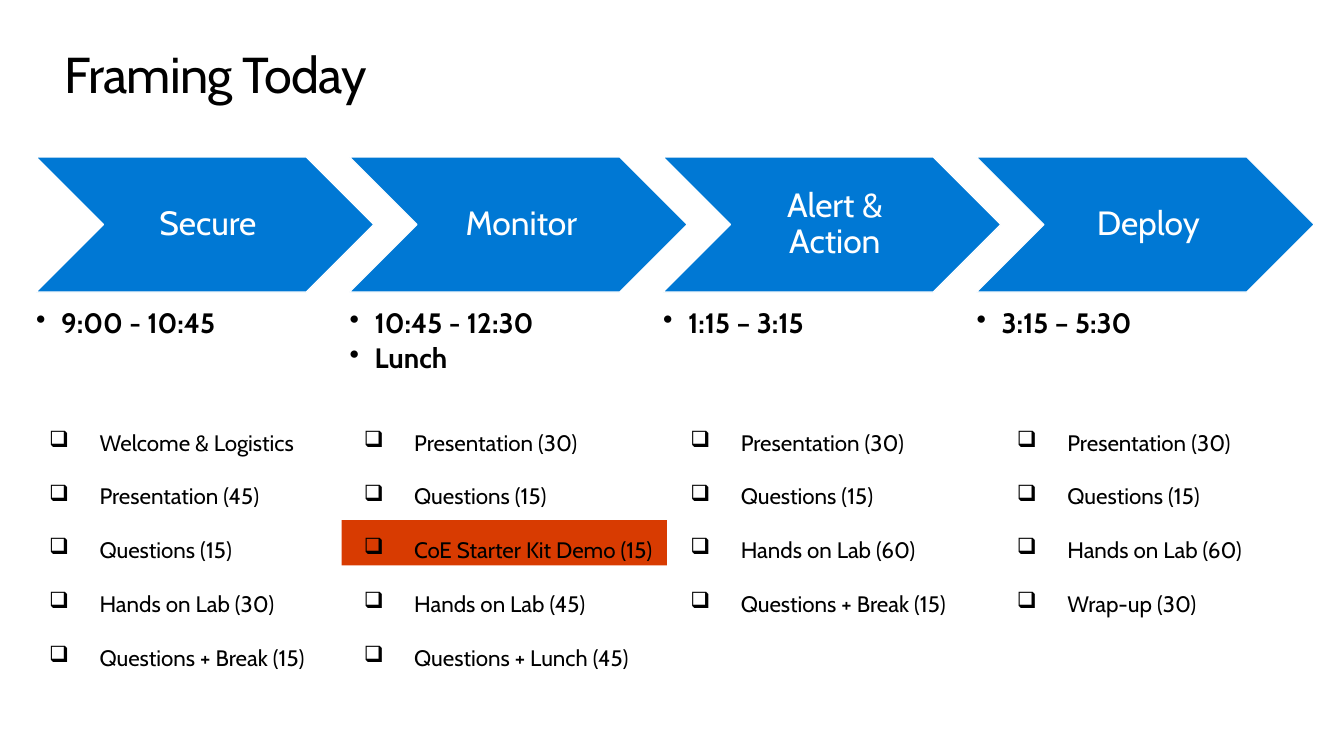
from pptx import Presentation
from pptx.dml.color import RGBColor
from pptx.enum.shapes import MSO_SHAPE
from pptx.enum.text import MSO_ANCHOR, PP_ALIGN
from pptx.oxml.ns import qn
from pptx.util import Cm, Pt
from lxml import etree

CHEVRON, RECT = MSO_SHAPE.CHEVRON, MSO_SHAPE.RECTANGLE
TOP, MIDDLE = MSO_ANCHOR.TOP, MSO_ANCHOR.MIDDLE
CENTER = PP_ALIGN.CENTER
BLACK = RGBColor(0x00, 0x00, 0x00)
WHITE = RGBColor(0xFF, 0xFF, 0xFF)
BLUE = RGBColor(0x00, 0x78, 0xD4)
ORANGE = RGBColor(0xD8, 0x3B, 0x01)
FONT = "Cabin"

STEP_LEFT, STEP_PITCH, STEP_W = Cm(0.91), Cm(7.9), Cm(8.51)
CHEVRON_TOP, CHEVRON_H = Cm(3.96), Cm(3.4)
TIMES_TOP, TIMES_W, TIMES_H = Cm(7.8), Cm(6.81), Cm(2.06)
LIST_TOP, LIST_W, ROW_H = Cm(10.13), Cm(7.65), Cm(1.35)

# name, times, left edge of the checklist, checklist items
SESSIONS = [
    ("Secure", ["9:00 - 10:45"], Cm(1.24),
     ["Welcome & Logistics", "Presentation (45)", "Questions (15)",
      "Hands on Lab (30)", "Questions + Break (15)"]),
    ("Monitor", ["10:45 - 12:30", "Lunch"], Cm(9.17),
     ["Presentation (30)", "Questions (15)", "CoE Starter Kit Demo (15)",
      "Hands on Lab (45)", "Questions + Lunch (45)"]),
    ("Alert & Action", ["1:15 – 3:15"], Cm(17.4),
     ["Presentation (30)", "Questions (15)", "Hands on Lab (60)",
      "Questions + Break (15)"]),
    ("Deploy", ["3:15 – 5:30"], Cm(25.63),
     ["Presentation (30)", "Questions (15)", "Hands on Lab (60)",
      "Wrap-up (30)"]),
]


def set_format(target, formats):
    for name, value in formats.items():
        setattr(target, name, value)


def set_bullet(p, char, indent):
    pPr = p._p.get_or_add_pPr()
    pPr.set("marL", str(indent))
    pPr.set("indent", str(-indent))
    etree.SubElement(pPr, qn("a:buChar")).set("char", char)


def write(sp, lines, size, color=BLACK, bold=False, margins=(0, 0, 0, 0),
          anchor=TOP, para=None, bullet=None):
    """Fill a shape with one paragraph per line; bullet is (char, indent)."""
    tf = sp.text_frame
    left, top, right, bottom = margins
    set_format(tf, {"word_wrap": True, "vertical_anchor": anchor,
                    "margin_left": left, "margin_top": top,
                    "margin_right": right, "margin_bottom": bottom})
    for i, line in enumerate(lines):
        p = tf.add_paragraph() if i else tf.paragraphs[0]
        if bullet:
            set_bullet(p, *bullet)
        set_format(p, para or {})
        r = p.add_run()
        r.text = line
        set_format(r.font, {"name": FONT, "size": Pt(size), "bold": bold})
        r.font.color.rgb = color


def add_filled(s, kind, box, fill):
    sp = s.shapes.add_shape(kind, *box)
    sp.shadow.inherit = False
    sp.fill.solid()
    sp.fill.fore_color.rgb = fill
    sp.line.fill.background()
    return sp


def add_title(s, box, text):
    sp = s.shapes.add_textbox(*box)
    write(sp, [text], 36, para={"line_spacing": 0.9})
    sp.text_frame.paragraphs[0].runs[0].font._element.set("spc", "-50")


def add_step(s, box, name):
    sp = add_filled(s, CHEVRON, box, BLUE)
    sp.line.color.rgb = WHITE
    sp.line.width = Pt(0.85)
    write(sp, [name], 24, WHITE, anchor=MIDDLE,
          margins=(Cm(0.25), Cm(0.1), Cm(0.1), Cm(0.1)),
          para={"alignment": CENTER, "line_spacing": 0.9})


def add_times(s, box, times):
    write(s.shapes.add_textbox(*box), times, 20, bold=True,
          para={"line_spacing": 0.9, "space_after": Pt(3)},
          bullet=("•", Cm(0.63)))


def add_checklist(s, box, items):
    write(s.shapes.add_textbox(*box), items, 16,
          para={"line_spacing": 2.0}, bullet=("❑", Cm(1.27)))


def main():
    prs = Presentation()
    prs.slide_width, prs.slide_height = Cm(33.87), Cm(19.05)
    s = prs.slides.add_slide(prs.slide_layouts[6])

    add_filled(s, RECT, (Cm(8.61), Cm(13.11), Cm(8.2), Cm(1.14)), ORANGE)
    add_title(s, (Cm(1.63), Cm(1.27), Cm(30.61), Cm(1.55)), "Framing Today")
    for i, (name, times, list_left, items) in enumerate(SESSIONS):
        left = STEP_LEFT + i * STEP_PITCH
        add_step(s, (left, CHEVRON_TOP, STEP_W, CHEVRON_H), name)
        add_times(s, (left, TIMES_TOP, TIMES_W, TIMES_H), times)
        add_checklist(s, (list_left, LIST_TOP, LIST_W, ROW_H * len(items)),
                      items)

    prs.save("out.pptx")


if __name__ == "__main__":
    main()
